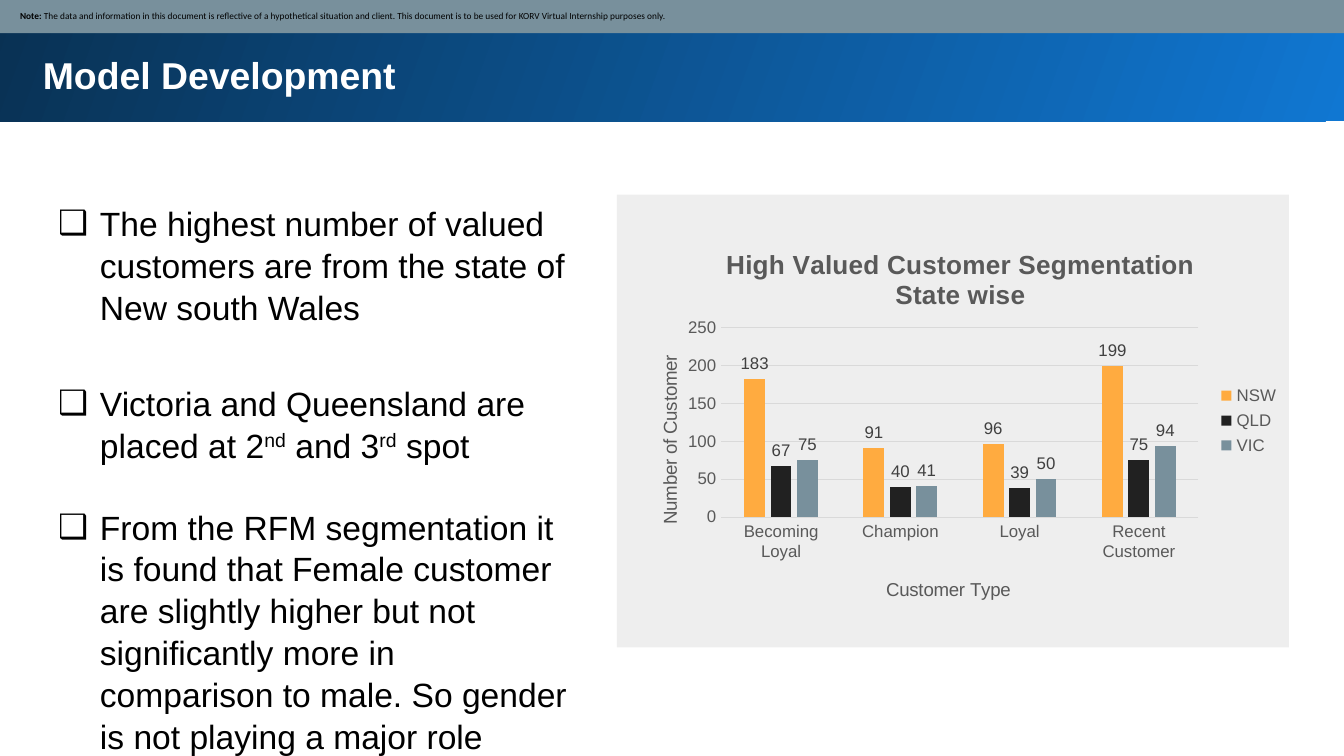
from dataclasses import dataclass

from lxml import etree
from pptx import Presentation
from pptx import util as u
from pptx.chart.data import CategoryChartData
from pptx.dml.color import RGBColor
from pptx.enum import chart as kinds, shapes, text
from pptx.oxml.ns import qn


@dataclass(frozen=True)
class Theme:
    font: str = "Arial"
    note_font: str = "Calibri"
    white: str = "FFFFFF"
    black: str = "000000"
    slate: str = "78909C"
    panel: str = "EEEEEE"
    bright: str = "1077D2"
    navy: str = "093153"
    muted: str = "595959"
    label: str = "404040"
    grid: str = "D9D9D9"
    title: float = 20
    body: float = 18
    note: float = 5
    chart_title: float = 14
    axis_title: float = 10
    tick: float = 9


theme = Theme()

TITLE = "Model Development"
NOTE = [
    ("Note: ", True),
    ("The data and information in this document is reflective of a hypothetical "
     "situation and client. This document is to be used for KORV Virtual "
     "Internship purposes only.", False),
]
BULLETS = [
    ([("The highest number of valued customers are from the state of "
       "New south Wales", False)], 28.8),
    ([("Victoria and Queensland are placed at 2", False), ("nd", True),
      (" and 3", False), ("rd", True), (" spot", False)], 21.5),
    ([("From the RFM segmentation it is found that Female customer are slightly "
       "higher but not significantly more in comparison to male. So gender is "
       "not playing a major role", False)], 0),
]
CHART_TITLE = "High Valued Customer Segmentation State wise"
CATEGORY_TITLE = "Customer Type"
VALUE_TITLE = "Number of Customer"
CATEGORIES = ["Becoming Loyal", "Champion", "Loyal", "Recent Customer"]
SERIES = [
    ("NSW", [183, 91, 96, 199], "FFAB40"),
    ("QLD", [67, 40, 39, 75], "212121"),
    ("VIC", [75, 41, 50, 94], theme.slate),
]

BANNER = (-0.05, -0.05, 25.53, 2.34)
HEADING = (0.56, 0.74, 23.8, 1.3)
NOTE_BAR = (-0.03, -0.03, 25.48, 0.66)
PANEL = (11.66, 3.68, 12.7, 8.56)
BODY = (0.97, 3.68, 9.98, 10.52)
CHART = (11.73, 4.14, 12.7, 7.62)


def place(area):
    return [u.Cm(value) for value in area]


def color(value):
    return RGBColor.from_string(value)


def style(font, size, shade, name=theme.font, bold=False):
    font.size, font.name, font.bold = u.Pt(size), name, bold
    font.color.rgb = color(shade)


def add_rect(area, shade=None):
    box = slide.shapes.add_shape(shapes.MSO_SHAPE.RECTANGLE, *place(area))
    box.shadow.inherit = False
    box.line.fill.background()
    if shade:
        box.fill.solid()
        box.fill.fore_color.rgb = color(shade)
    return box


def set_frame(box, inset, left=None):
    frame = box.text_frame
    frame.word_wrap = True
    frame.margin_top = frame.margin_bottom = frame.margin_right = u.Cm(inset)
    frame.margin_left = u.Cm(inset if left is None else left)
    return frame


def add_bullet(para):
    props = para._p.get_or_add_pPr()
    indent = u.Cm(0.79)
    props.set("marL", str(indent))
    props.set("indent", str(-indent))
    etree.SubElement(props, qn("a:buFont"), typeface=theme.font)
    etree.SubElement(props, qn("a:buChar"), char="❑")


def set_layout(parent, index, **values):
    for old in parent.findall(qn("c:layout")):
        parent.remove(old)
    layout = etree.Element(qn("c:layout"))
    manual = etree.SubElement(layout, qn("c:manualLayout"))
    if "w" in values:
        etree.SubElement(manual, qn("c:layoutTarget"), val="inner")
    for axis in "xy":
        etree.SubElement(manual, qn(f"c:{axis}Mode"), val="edge")
    for key, value in values.items():
        etree.SubElement(manual, qn(f"c:{key}"), val=str(value))
    parent.insert(index, layout)


def set_title(title, words, size, bold, x, y):
    title.text_frame.text = words
    style(title.text_frame.paragraphs[0].runs[0].font, size, theme.muted, bold=bold)
    set_layout(title._element, 1, x=x, y=y)


def add_customer_chart():
    data = CategoryChartData()
    data.categories = CATEGORIES
    for name, values, _ in SERIES:
        data.add_series(name, values)
    chart = slide.shapes.add_chart(
        kinds.XL_CHART_TYPE.COLUMN_CLUSTERED, *place(CHART), data).chart
    style(chart.font, theme.axis_title, theme.black)
    plot = chart.plots[0]
    plot.vary_by_categories = False
    plot.gap_width, plot.overlap = 219, -27
    for series, (_, _, shade) in zip(plot.series, SERIES):
        series.format.fill.solid()
        series.format.fill.fore_color.rgb = color(shade)
        labels = series.data_labels
        labels.show_value = True
        labels.position = kinds.XL_LABEL_POSITION.OUTSIDE_END
        style(labels.font, theme.tick, theme.label)

    for axis in (chart.category_axis, chart.value_axis):
        axis.major_tick_mark = axis.minor_tick_mark = kinds.XL_TICK_MARK.NONE
        style(axis.tick_labels.font, theme.tick, theme.muted)
    values = chart.value_axis
    values.minimum_scale, values.maximum_scale, values.major_unit = 0, 250, 50
    values.format.line.fill.background()
    for line in (chart.category_axis.format.line, values.major_gridlines.format.line):
        line.color.rgb = color(theme.grid)
        line.width = u.Pt(0.75)

    chart.has_legend = True
    chart.legend.position = kinds.XL_LEGEND_POSITION.RIGHT
    chart.legend.include_in_layout = False
    style(chart.legend.font, theme.tick, theme.muted)

    set_title(chart.chart_title, CHART_TITLE, theme.chart_title, True, 0.15, 0.06)
    set_title(chart.category_axis.axis_title, CATEGORY_TITLE,
              theme.axis_title, False, 0.39, 0.88)
    set_title(values.axis_title, VALUE_TITLE, theme.axis_title, False, 0.05, 0.33)
    set_layout(chart._chartSpace.chart.plotArea, 0, x=0.15, y=0.27, w=0.71, h=0.47)


deck = Presentation()
deck.slide_width, deck.slide_height = u.Cm(25.4), u.Cm(14.29)
slide = deck.slides.add_slide(deck.slide_layouts[6])

banner = add_rect(BANNER)
banner.fill.gradient()
banner.fill.gradient_angle = 160
for stop, shade in zip(banner.fill.gradient_stops, (theme.bright, theme.navy)):
    stop.color.rgb = color(shade)

heading = set_frame(slide.shapes.add_textbox(*place(HEADING)), 0.25)
heading.text = TITLE
style(heading.paragraphs[0].runs[0].font, theme.title, theme.white, bold=True)

note = set_frame(add_rect(NOTE_BAR, theme.slate), 0.13, left=0.41)
note.vertical_anchor = text.MSO_ANCHOR.MIDDLE
note_para = note.paragraphs[0]
note_para.alignment = text.PP_ALIGN.LEFT
for words, bold in NOTE:
    span = note_para.add_run()
    span.text = words
    style(span.font, theme.note, theme.black, theme.note_font, bold)

add_rect(PANEL, theme.panel)

body = set_frame(slide.shapes.add_textbox(*place(BODY)), 0.13)
for number, (spans, gap) in enumerate(BULLETS):
    para = body.add_paragraph() if number else body.paragraphs[0]
    para.line_spacing = 1.04
    para.space_after = u.Pt(gap)
    add_bullet(para)
    for words, raised in spans:
        span = para.add_run()
        span.text = words
        style(span.font, theme.body, theme.black)
        if raised:
            span.font._element.set("baseline", "30000")

add_customer_chart()
deck.save("out.pptx")
